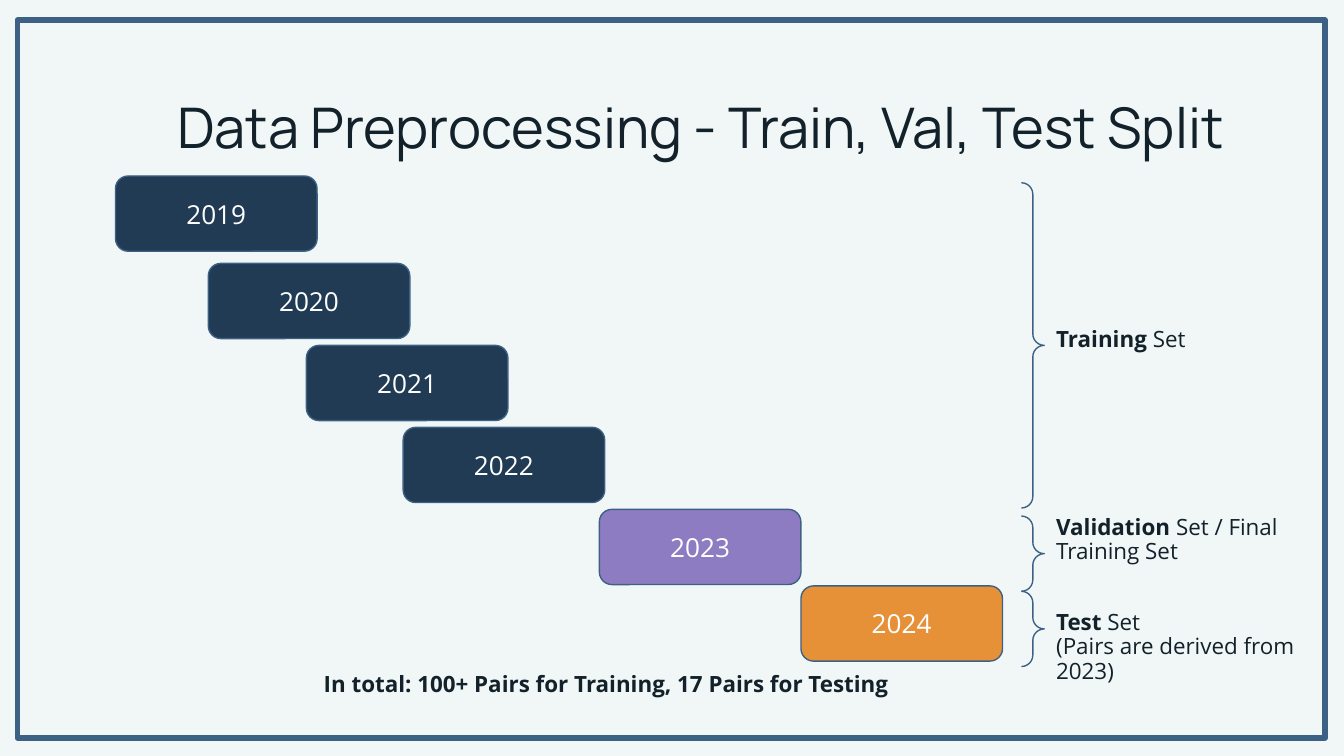
from pptx import Presentation
from pptx.dml.color import RGBColor
from pptx.enum.shapes import MSO_SHAPE
from pptx.enum.text import MSO_ANCHOR, MSO_AUTO_SIZE, PP_ALIGN
from pptx.util import Inches, Pt

PAPER = RGBColor(0xF1, 0xF7, 0xF7)
INK = RGBColor(0x12, 0x21, 0x2A)
BLUE = RGBColor(0x3C, 0x61, 0x85)
NAVY = RGBColor(0x20, 0x3B, 0x53)
PURPLE = RGBColor(0x8E, 0x7C, 0xC3)
ORANGE = RGBColor(0xE6, 0x91, 0x38)
WHITE = RGBColor(0xFF, 0xFF, 0xFF)


def write(sp, *lines, font="Open Sans", size=12, color=INK,
          align=PP_ALIGN.LEFT, anchor=MSO_ANCHOR.TOP, spacing=0.9):
    """Each line is a list of (text, bold) runs."""
    tf = sp.text_frame
    tf.word_wrap = True
    tf.auto_size = MSO_AUTO_SIZE.NONE
    tf.vertical_anchor = anchor
    tf.margin_left = tf.margin_right = Inches(0.1)
    tf.margin_top = tf.margin_bottom = Inches(0.1)
    for i, runs in enumerate(lines):
        p = tf.add_paragraph() if i else tf.paragraphs[0]
        p.alignment = align
        p.line_spacing = spacing
        for text, bold in runs:
            r = p.add_run()
            r.text = text
            r.font.name = font
            r.font.size = Pt(size)
            r.font.bold = bold
            r.font.color.rgb = color


def add_outline(kind, x, y, w, h, fill=None, weight=0.75):
    sp = slide.shapes.add_shape(kind, Inches(x), Inches(y), Inches(w), Inches(h))
    sp.shadow.inherit = False
    sp.line.color.rgb = BLUE
    sp.line.width = Pt(weight)
    if fill is None:
        sp.fill.background()
    else:
        sp.fill.solid()
        sp.fill.fore_color.rgb = fill
    return sp


prs = Presentation()
prs.slide_width, prs.slide_height = Inches(10), Inches(5.625)
slide = prs.slides.add_slide(prs.slide_layouts[5])
slide.background.fill.solid()
slide.background.fill.fore_color.rgb = PAPER

# Frame
add_outline(MSO_SHAPE.RECTANGLE, 0.13, 0.15, 9.73, 5.34, weight=3)

# Title
title = slide.shapes.title
title.left, title.top = Inches(-0.07), Inches(0.59)
title.width, title.height = Inches(10.57), Inches(0.63)
write(title, [("Data Preprocessing - Train, Val, Test Split", False)],
      font="Manrope", size=30, align=PP_ALIGN.CENTER, spacing=1.0)

# Staircase of years
BOX_W, BOX_H = 1.5, 0.56
years = [
    (0.86, 1.31, NAVY),
    (1.55, 1.96, NAVY),
    (2.28, 2.57, NAVY),
    (3.0, 3.18, NAVY),
    (4.46, 3.79, PURPLE),
    (5.96, 4.36, ORANGE),
]
for year, (x, y, fill) in enumerate(years, start=2019):
    sp = add_outline(MSO_SHAPE.ROUNDED_RECTANGLE, x, y, BOX_W, BOX_H, fill)
    write(sp, [(str(year), False)], size=14, color=WHITE, spacing=1.0,
          align=PP_ALIGN.CENTER, anchor=MSO_ANCHOR.MIDDLE)

# Braces that group the years into sets
for y, h in [(1.36, 2.42), (3.84, BOX_H), (4.4, BOX_H)]:
    sp = add_outline(MSO_SHAPE.RIGHT_BRACE, 7.6, y, 0.17, h)
    sp.adjustments[0] = sp.adjustments[1] = 0.5

# Set labels and total
labels = [
    (7.76, 2.34, 1.95, [[("Training", True), (" Set", False)]]),
    (7.76, 3.74, 2.24, [[("Validation", True), (" Set / Final Training Set", False)]]),
    (7.76, 4.45, 2.12, [[("Test", True), (" Set", False)],
                        [("(Pairs are derived from 2023)", False)]]),
    (2.31, 4.91, 4.58, [[("In total: 100+ Pairs for Training, 17 Pairs for Testing", True)]]),
]
for x, y, w, lines in labels:
    sp = slide.shapes.add_textbox(Inches(x), Inches(y), Inches(w), Inches(0.47))
    write(sp, *lines)

prs.save("out.pptx")
